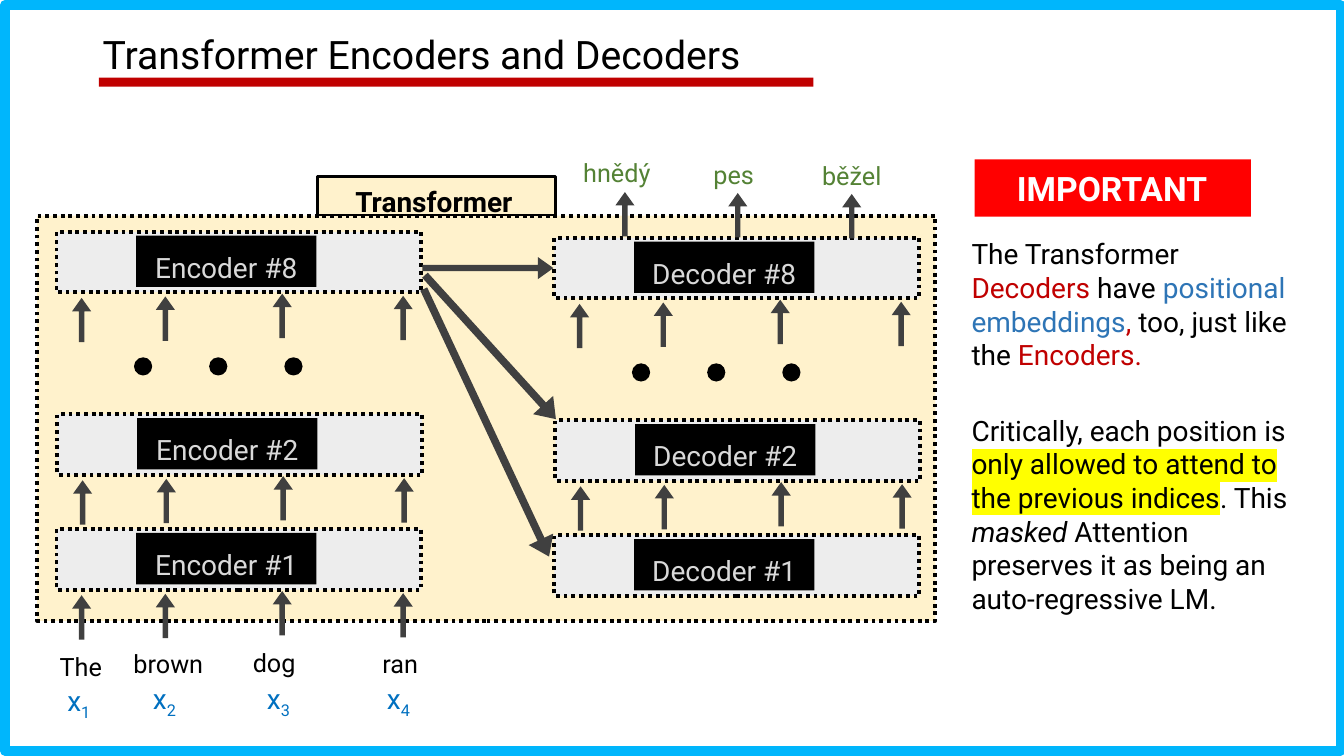
from lxml import etree
from pptx import Presentation
from pptx.dml.color import RGBColor
from pptx.enum.dml import MSO_LINE
from pptx.enum.shapes import MSO_SHAPE
from pptx.enum.text import MSO_ANCHOR, MSO_AUTO_SIZE, PP_ALIGN
from pptx.oxml.ns import qn
from pptx.util import Pt

FONT = "Roboto"
BLACK, WHITE, RED, GRAY = "000000", "FFFFFF", "C00000", "404040"
BLUE, GREEN, CREAM = "0070C0", "548235", "FFF2CC"

# Centres of the arrows below a block, from its top left corner
ARROW_OFFSETS = [(18, 63), (77.8, 62), (161.3, 60), (247.7, 61.5)]


def rgb(color):
    return RGBColor.from_string(color)


def add_shape(s, kind, box, fill, line=None, width=0, dash=None):
    sp = s.shapes.add_shape(kind, *[Pt(v) for v in box])
    sp.shadow.inherit = False
    sp.fill.solid()
    sp.fill.fore_color.rgb = rgb(fill)
    if line:
        sp.line.color.rgb = rgb(line)
        sp.line.width = Pt(width)
        sp.line.dash_style = dash
    else:
        sp.line.fill.background()
    return sp


def add_rect(s, box, fill, *line):
    return add_shape(s, MSO_SHAPE.RECTANGLE, box, fill, *line)


def add_arrow(s, cx, cy, length=31.7, thick=13.7, angle=270):
    box = (cx - length / 2, cy - thick / 2, length, thick)
    sp = add_shape(s, MSO_SHAPE.RIGHT_ARROW, box, GRAY)
    sp.adjustments[0], sp.adjustments[1] = 0.28, 0.7
    sp.rotation = angle


def set_font(font, size, color=None, bold=None):
    font.name, font.size, font.bold = FONT, Pt(size), bold
    if color:
        font.color.rgb = rgb(color)


def add_frame(s, box):
    tf = s.shapes.add_textbox(*[Pt(v) for v in box]).text_frame
    tf.word_wrap = True
    return tf


def add_label(s, text, box, size, color, align=PP_ALIGN.CENTER, spacing=1.2, bold=None):
    p = add_frame(s, box).paragraphs[0]
    p.text = text
    p.alignment, p.line_spacing = align, spacing
    set_font(p.font, size, color, bold)
    return p


def add_block(s, name, x, y, arrows=True):
    add_rect(s, (x, y, 260.6, 43.2), "EDEDED", BLACK, 2.75, MSO_LINE.ROUND_DOT)
    if arrows:
        for dx, dy in ARROW_OFFSETS:
            add_arrow(s, x + dx, y + dy)
    add_rect(s, (x + 56.9, y + 2.7, 128.9, 36.7), BLACK)
    add_label(s, name, (x + 56.9, y + 5, 128.9, 28), 20, "D9D9D9")


def add_stack(s, name, x, y, first_arrows):
    add_block(s, f"{name} #1", x, y + 212.4, first_arrows)
    add_block(s, f"{name} #2", x + 0.7, y + 130.3)
    add_block(s, f"{name} #8", x, y)
    for i in range(3):
        add_shape(s, MSO_SHAPE.OVAL, (x + 55.4 + 53.7 * i, y + 89.6, 13, 13), BLACK)


def add_input(s, i, word, box, align, x, y):
    add_label(s, word, box, 18, BLACK, align)
    p = add_label(s, "x", (x, y, 40, 31.7), 20, BLUE, PP_ALIGN.LEFT, 1)
    r = p.add_run()
    r.text = str(i)
    r.font._element.set("baseline", "-25000")


def add_run(p, text, color=BLACK, highlight=None, italic=None):
    r = p.add_run()
    r.text = text
    r.font.color.rgb = rgb(color)
    r.font.italic = italic
    if highlight:
        mark = etree.SubElement(r.font._element, qn("a:highlight"))
        etree.SubElement(mark, qn("a:srgbClr")).set("val", highlight)


def add_notice(s):
    add_rect(s, (696.2, 113.8, 197.3, 41), "FF0000")
    add_label(s, "IMPORTANT", (719.3, 116.6, 172.8, 36), 24, WHITE,
              PP_ALIGN.LEFT, 1, True)
    paragraphs = [
        [("The Transformer",), (" Decoders ", RED), ("have ",),
         ("positional embeddings", "2E75B6"), (", ", RED),
         ("too, just like the",), (" Encoders.", RED)],
        [("Critically, each position is ",),
         ("only allowed to attend to the previous indices", BLACK, "FFFF00"),
         (". This ",), ("masked", BLACK, None, True),
         (" Attention preserves it as being an auto-regressive LM.",)],
    ]
    tf = add_frame(s, (686.9, 165.6, 249.8, 280))
    for i, runs in enumerate(paragraphs):
        p = tf.add_paragraph() if i else tf.paragraphs[0]
        if i:
            p.space_before = Pt(30)
        set_font(p.font, 20)
        for run in runs:
            add_run(p, *run)


def add_title(s, text):
    title = s.shapes.title
    title.left, title.top, title.width, title.height = Pt(66.2), Pt(21.6), Pt(694.8), Pt(49)
    tf = title.text_frame
    tf.text = text
    tf.auto_size = MSO_AUTO_SIZE.NONE
    tf.vertical_anchor = MSO_ANCHOR.TOP
    p = tf.paragraphs[0]
    p.alignment, p.line_spacing = PP_ALIGN.LEFT, 0.9
    set_font(p.font, 28, BLACK)
    return title


def main():
    prs = Presentation()
    prs.slide_width, prs.slide_height = Pt(960), Pt(540)
    s = prs.slides.add_slide(prs.slide_layouts[5])

    # Frame behind the title, then its underline
    title = add_title(s, "Transformer Encoders and Decoders")
    frame = add_rect(s, (3.6, 3.6, 954, 532.8), WHITE, "00B6FC", 7)
    title._element.addprevious(frame._element)
    add_rect(s, (70.6, 55.4, 510.5, 6.5), RED)

    # Transformer panel with both stacks
    add_rect(s, (26.6, 154.1, 641.5, 289.4), CREAM, BLACK, 2.75, MSO_LINE.ROUND_DOT)
    add_stack(s, "Encoder", 40.3, 165.6, True)
    add_stack(s, "Decoder", 396, 169.9, False)

    # Input words and their vectors
    c = PP_ALIGN.CENTER
    add_input(s, 1, "The", (24.5, 457.2, 55.4, 39.6), PP_ALIGN.RIGHT, 41, 484.6)
    add_input(s, 2, "brown", (71.3, 455, 97.9, 39.6), c, 102.2, 483.1)
    add_input(s, 3, "dog", (146.9, 454.5, 97.9, 39.6), c, 183.6, 483.1)
    add_input(s, 4, "ran", (236.9, 455, 97.9, 39.6), c, 269.3, 483.1)

    # Output words
    for word, x, y, arrow_x, arrow_y in [("hnědý", 407.5, 104.4, 446.4, 153),
                                         ("pes", 491, 105.8, 527, 153.7),
                                         ("běžel", 575.3, 106.6, 608.4, 154.4)]:
        add_arrow(s, arrow_x, arrow_y)
        add_label(s, word, (x, y, 66.2, 39.6), 18, GREEN)

    # Panel tab
    add_rect(s, (226.8, 126, 169.9, 27.4), CREAM, BLACK, 1.75)
    add_label(s, "Transformer", (226.8, 123.8, 166.3, 28), 20, BLACK, bold=True)

    # Arrows from the top encoder to each decoder
    add_arrow(s, 347.4, 302, 211, 19.4, 64.9)
    add_arrow(s, 350.3, 248, 139, 19.4, 47.7)
    add_arrow(s, 348.5, 191.5, 93.6, 15.8, 0)

    add_notice(s)
    prs.save("out.pptx")


if __name__ == "__main__":
    main()
